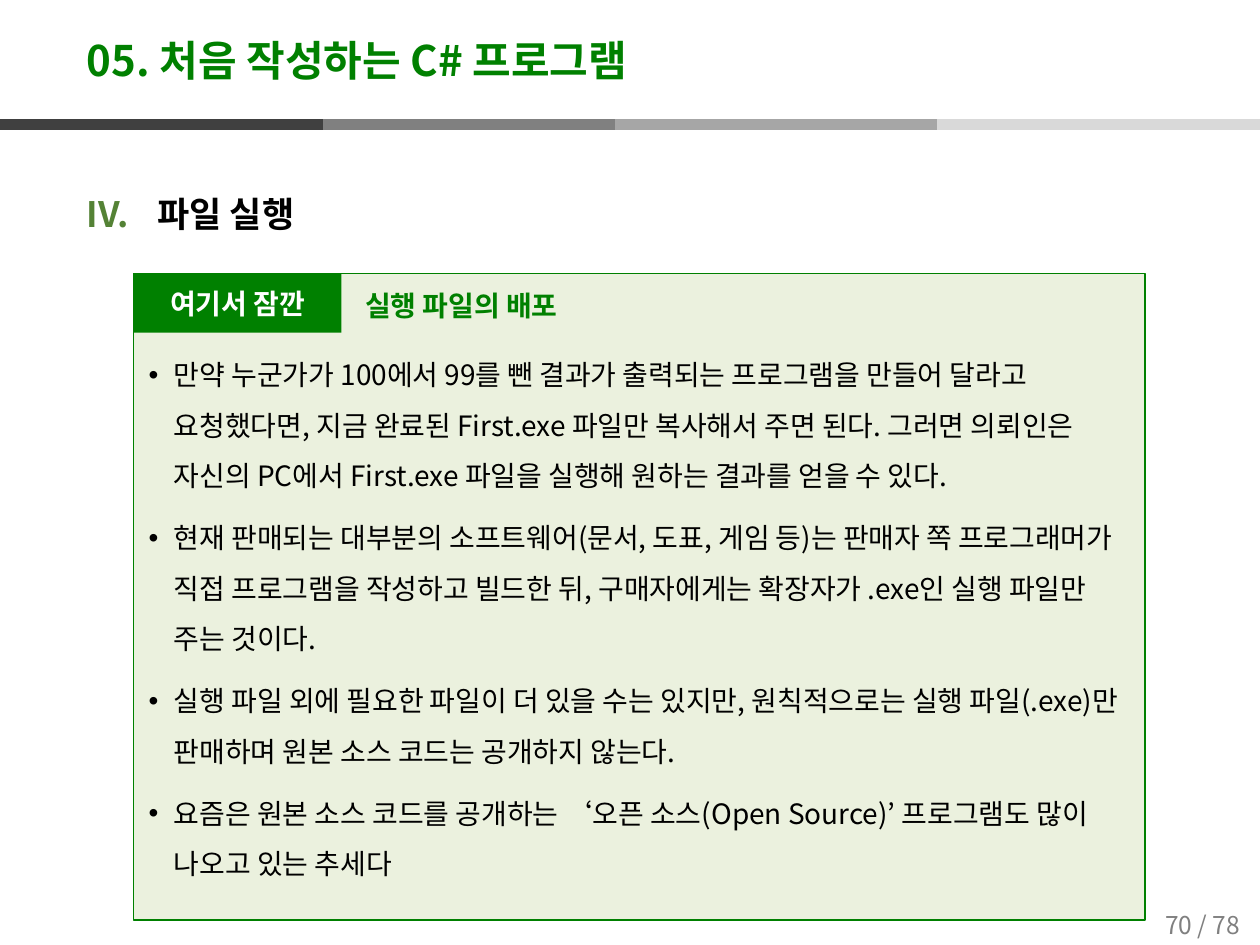
import pptx
import pptx.util
import pptx.dml.color
import pptx.enum.shapes
import pptx.enum.text
import pptx.oxml
import pptx.oxml.ns

W, H = 10, 7.5
LEFT = 0.59
CARD_X, CARD_Y, CARD_W, CARD_H = 1.06, 2.17, 8.03, 5.13
KOREAN = "Noto Sans CJK KR"
GREEN = "008000"
ALIGN = pptx.enum.text.PP_ALIGN
MIDDLE = pptx.enum.text.MSO_ANCHOR.MIDDLE
NS = pptx.oxml.ns.nsdecls("a")

BULLETS = [
    "만약 누군가가 100에서 99를 뺀 결과가 출력되는 프로그램을 만들어 달라고 요청했다면, "
    "지금 완료된 First.exe 파일만 복사해서 주면 된다. 그러면 의뢰인은 자신의 PC에서 "
    "First.exe 파일을 실행해 원하는 결과를 얻을 수 있다.",
    "현재 판매되는 대부분의 소프트웨어(문서, 도표, 게임 등)는 판매자 쪽 프로그래머가 직접 "
    "프로그램을 작성하고 빌드한 뒤, 구매자에게는 확장자가 .exe인 실행 파일만 주는 것이다.",
    "실행 파일 외에 필요한 파일이 더 있을 수는 있지만, 원칙적으로는 실행 파일(.exe)만 "
    "판매하며 원본 소스 코드는 공개하지 않는다.",
    "요즘은 원본 소스 코드를 공개하는 ‘오픈 소스(Open Source)’ 프로그램도 많이 나오고 있는 추세다",
]


def color(value):
    return pptx.dml.color.RGBColor.from_string(value)


def place(sp, *box):
    sp.left, sp.top, sp.width, sp.height = [pptx.util.Inches(v) for v in box]


def format_runs(p, size, ink, bold=False, font=KOREAN):
    for r in p.runs:
        r.font.size = pptx.util.Pt(size)
        r.font.bold = bold
        r.font.color.rgb = color(ink)
        r.font.name = font
        r.font._element.find(pptx.oxml.ns.qn("a:latin")).addnext(
            pptx.oxml.parse_xml(f'<a:ea {NS} typeface="{KOREAN}"/>'))


def write(sp, text, size, ink, bold=False, align=ALIGN.LEFT, anchor=MIDDLE):
    tf = sp.text_frame
    tf.text = text
    tf.word_wrap = True
    tf.auto_size = pptx.enum.text.MSO_AUTO_SIZE.NONE
    tf.vertical_anchor = anchor
    p = tf.paragraphs[0]
    p.alignment = align
    format_runs(p, size, ink, bold)
    return p


def add_label(s, box, *args, **kwargs):
    sp = s.shapes.add_textbox(0, 0, 0, 0)
    place(sp, *box)
    write(sp, *args, **kwargs)


def add_rect(s, box, fill, line=None):
    sp = s.shapes.add_shape(pptx.enum.shapes.MSO_SHAPE.RECTANGLE, 0, 0, 0, 0)
    place(sp, *box)
    sp.shadow.inherit = False
    sp.fill.solid()
    sp.fill.fore_color.rgb = color(fill)
    if line:
        sp.line.color.rgb = color(line)
        sp.line.width = pptx.util.Pt(1)
    else:
        sp.line.fill.background()
    return sp


def add_rule(s, x, ink):
    y, length = pptx.util.Inches(0.99), 2.56
    line = s.shapes.add_connector(
        pptx.enum.shapes.MSO_CONNECTOR.STRAIGHT,
        pptx.util.Inches(x), y, pptx.util.Inches(x + length), y)
    line.line.color.rgb = color(ink)
    line.line.width = pptx.util.Pt(6)
    line._element.spPr.append(pptx.oxml.parse_xml(f"<a:effectLst {NS}/>"))


def set_bullet(p, margin, indent, *marks):
    pPr = p._p.get_or_add_pPr()
    pPr.set("marL", str(pptx.util.Inches(margin)))
    pPr.set("indent", str(pptx.util.Inches(indent)))
    for mark in marks:
        pPr.append(pptx.oxml.parse_xml(mark))


def fill_body(body):
    tf = body.text_frame
    tf.text = "파일 실행"
    tf.word_wrap = True
    tf.auto_size = pptx.enum.text.MSO_AUTO_SIZE.NONE
    p = tf.paragraphs[0]
    p.line_spacing = 1.5
    p.space_before = pptx.util.Pt(0)
    set_bullet(p, 0.56, -0.56,
               f'<a:buClr {NS}><a:srgbClr val="548235"/></a:buClr>',
               f'<a:buFont {NS} typeface="+mj-lt"/>',
               f'<a:buAutoNum {NS} type="romanUcPeriod" startAt="4"/>')
    format_runs(p, 20, "000000", True, "Arial")
    for i, text in enumerate(BULLETS):
        p = tf.add_paragraph()
        p.text = text
        p.level = 2
        p.line_spacing = 1.5
        p.space_before = pptx.util.Pt(3.8 if i else 61)
        p.space_after = pptx.util.Pt(3)
        set_bullet(p, 0.69, -0.2,
                   f'<a:buFont {NS} typeface="Arial"/>',
                   f'<a:buChar {NS} char="•"/>')
        format_runs(p, 16, "000000")


def main():
    prs = pptx.Presentation()
    prs.slide_width, prs.slide_height = pptx.util.Inches(W), pptx.util.Inches(H)
    s = prs.slides.add_slide(prs.slide_layouts[1])
    title, body = s.placeholders

    for x, ink in [(2.32, "808080"), (4.88, "A6A6A6"), (7.44, "D9D9D9"), (0, "404040")]:
        add_rule(s, x, ink)
    add_label(s, (9.09, 7.14, 0.91, 0.39), "70 / 78", 14, "808080", align=ALIGN.CENTER)

    card = add_rect(s, (CARD_X, CARD_Y, CARD_W, CARD_H), "EBF1DE", GREEN)
    title._element.addprevious(card._element)

    place(title, LEFT, 0.2, 8.74, 0.6)
    write(title, "05. 처음 작성하는 C# 프로그램", 24, GREEN, True).line_spacing = 0.9
    place(body, LEFT, 1.31, 8.5, 5.91)
    fill_body(body)

    tab = add_rect(s, (CARD_X, CARD_Y, 1.65, 0.47), GREEN)
    write(tab, "여기서 잠깐", 16, "FFFFFF", True, ALIGN.CENTER)
    add_label(s, (2.8, 2.24, 4.17, 0.37), "실행 파일의 배포", 16, GREEN, True,
              anchor=pptx.enum.text.MSO_ANCHOR.TOP)
    prs.save("out.pptx")


if __name__ == "__main__":
    main()
